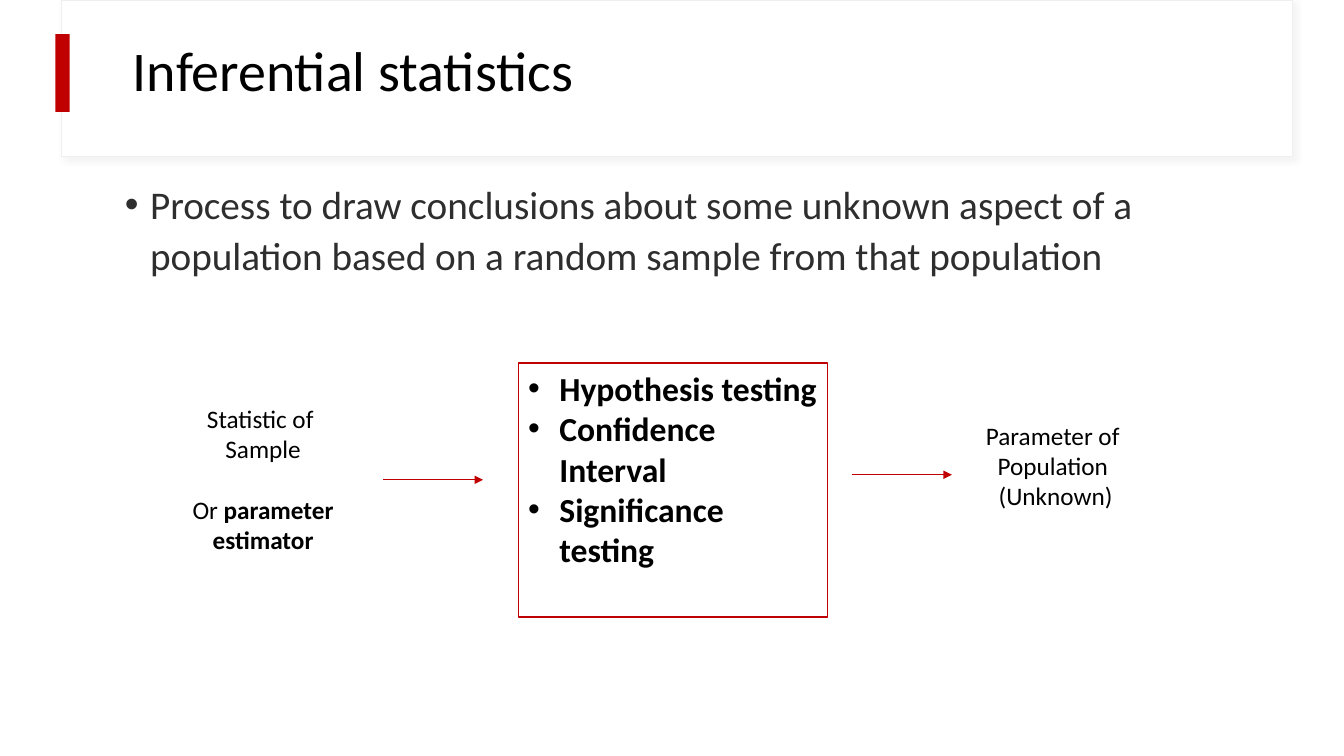
from dataclasses import dataclass

from lxml.etree import SubElement
from pptx import Presentation
from pptx.dml.color import RGBColor
from pptx.enum.shapes import MSO_CONNECTOR, MSO_SHAPE
from pptx.enum.text import MSO_ANCHOR, PP_ALIGN
from pptx.oxml.ns import qn
from pptx.util import Inches, Pt

RED, BLACK, WHITE = "C00000", "000000", "FFFFFF"


@dataclass
class Para:
    runs: list[tuple[str, bool]]
    format: dict
    indent: tuple[float, float] | None = None


@dataclass
class TextBlock:
    at: tuple[float, float, float, float]
    size: int
    paras: list[Para]
    color: str = BLACK
    anchor: MSO_ANCHOR = MSO_ANCHOR.TOP


@dataclass
class Arrow:
    left: float
    top: float
    length: float = 0.99


def rgb(value: str) -> RGBColor:
    return RGBColor.from_string(value)


def set_format(target, values: dict) -> None:
    for name, value in values.items():
        setattr(target, name, value)


def add_bullet(p, margin: float, hanging: float) -> None:
    pPr = p._p.get_or_add_pPr()
    pPr.set("marL", str(Inches(margin)))
    pPr.set("indent", str(-Inches(hanging)))
    SubElement(pPr, qn("a:buFont"), typeface="Arial")
    SubElement(pPr, qn("a:buChar"), char="•")


def write_text(sp, block: TextBlock) -> None:
    tf = sp.text_frame
    set_format(tf, {"word_wrap": True, "vertical_anchor": block.anchor})
    for i, para in enumerate(block.paras):
        p = tf.add_paragraph() if i else tf.paragraphs[0]
        if para.indent:
            add_bullet(p, *para.indent)
        set_format(p, para.format)
        for text, bold in para.runs:
            r = p.add_run()
            r.text = text
            set_format(r.font, {"name": "Calibri", "size": Pt(block.size), "bold": bold})
            r.font.color.rgb = rgb(block.color)


def add_box(s, at: tuple[float, float, float, float], fill: str, line: str | None = None,
            width: float = 1):
    sp = s.shapes.add_shape(MSO_SHAPE.RECTANGLE, *map(Inches, at))
    sp.shadow.inherit = False
    sp.fill.solid()
    sp.fill.fore_color.rgb = rgb(fill)
    if line:
        sp.line.color.rgb = rgb(line)
        sp.line.width = Pt(width)
    else:
        sp.line.fill.background()
    return sp


def add_soft_shadow(sp) -> None:
    effects = sp._element.spPr.find(qn("a:effectLst"))
    shadow = SubElement(effects, qn("a:outerShdw"), blurRad=str(Pt(4)), dist=str(Pt(3)),
                        dir=str(45 * 60000), algn="tl", rotWithShape="0")
    color = SubElement(shadow, qn("a:srgbClr"), val="D9D9D9")
    SubElement(color, qn("a:alpha"), val="30000")


def add_arrow(s, arrow: Arrow) -> None:
    ends = (arrow.left, arrow.top, arrow.left + arrow.length, arrow.top)
    line = s.shapes.add_connector(MSO_CONNECTOR.STRAIGHT, *map(Inches, ends))
    line.line.color.rgb = rgb(RED)
    line.line.width = Pt(0.5)
    SubElement(line.line._get_or_add_ln(), qn("a:tailEnd"), type="triangle")
    SubElement(line._element.spPr, qn("a:effectLst"))


CENTER = {"alignment": PP_ALIGN.CENTER}
TEXTS = [
    TextBlock((1.22, 0.08, 11.12, 1.29), 40,
              [Para([("Inferential statistics", False)], {"line_spacing": 0.9})],
              anchor=MSO_ANCHOR.MIDDLE),
    TextBlock((0.64, 1.69, 11.19, 1.56), 28,
              [Para([("Process to draw conclusions about some unknown aspect of a population "
                      "based on a random sample from that population", False)],
                    {"line_spacing": 1.1}, (0.75, 0.25))],
              color="2E2E2E"),
    TextBlock((1.41, 3.95, 2.4, 1.62), 18,
              [Para([("Statistic of ", False)], CENTER),
               Para([("Sample", False)], CENTER),
               Para([("Or ", False), ("parameter estimator", True)],
                    CENTER | {"space_before": Pt(22)})]),
    TextBlock((9.27, 4.12, 2.4, 1.01), 18,
              [Para([(text, False)], CENTER)
               for text in ("Parameter of ", "Population ", "(Unknown)")]),
]
METHODS = TextBlock((5.14, 3.6, 3.07, 2.52), 24,
                    [Para([(text, True)], {"alignment": PP_ALIGN.LEFT}, (0.31, 0.31))
                     for text in ("Hypothesis testing", "Confidence Interval",
                                  "Significance testing")])
ARROWS = [Arrow(3.8, 4.76), Arrow(8.45, 4.71)]


def main() -> None:
    prs = Presentation()
    prs.slide_width, prs.slide_height = Inches(13.33), Inches(7.5)
    s = prs.slides.add_slide(prs.slide_layouts[6])
    add_soft_shadow(add_box(s, (0.61, 0, 12.21, 1.55), WHITE, "EFEFEF", 0.75))
    add_box(s, (0.55, 0.34, 0.14, 0.77), RED)
    for block in TEXTS:
        write_text(s.shapes.add_textbox(*map(Inches, block.at)), block)
    write_text(add_box(s, METHODS.at, WHITE, RED), METHODS)
    for arrow in ARROWS:
        add_arrow(s, arrow)
    prs.save("out.pptx")


if __name__ == "__main__":
    main()
